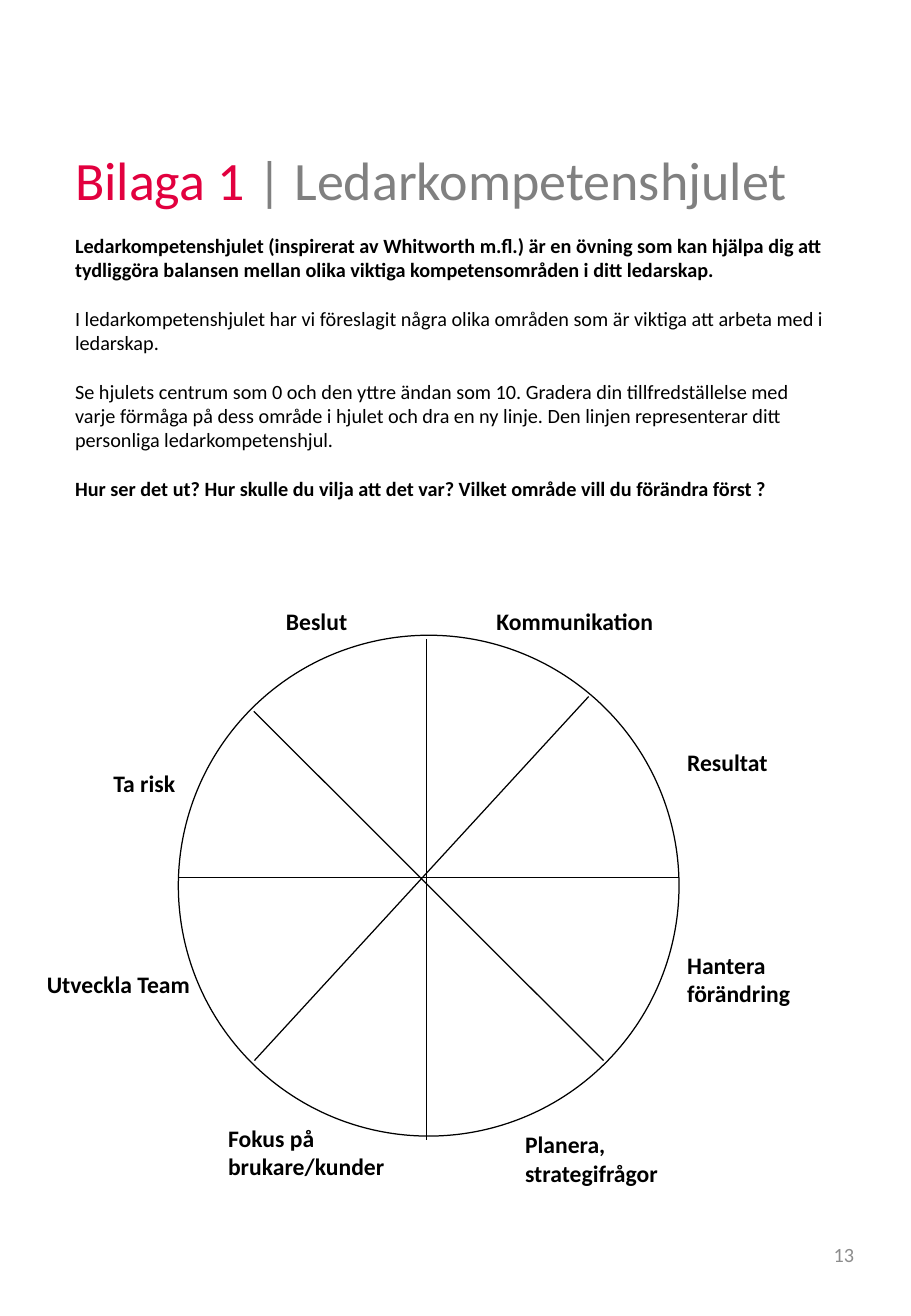
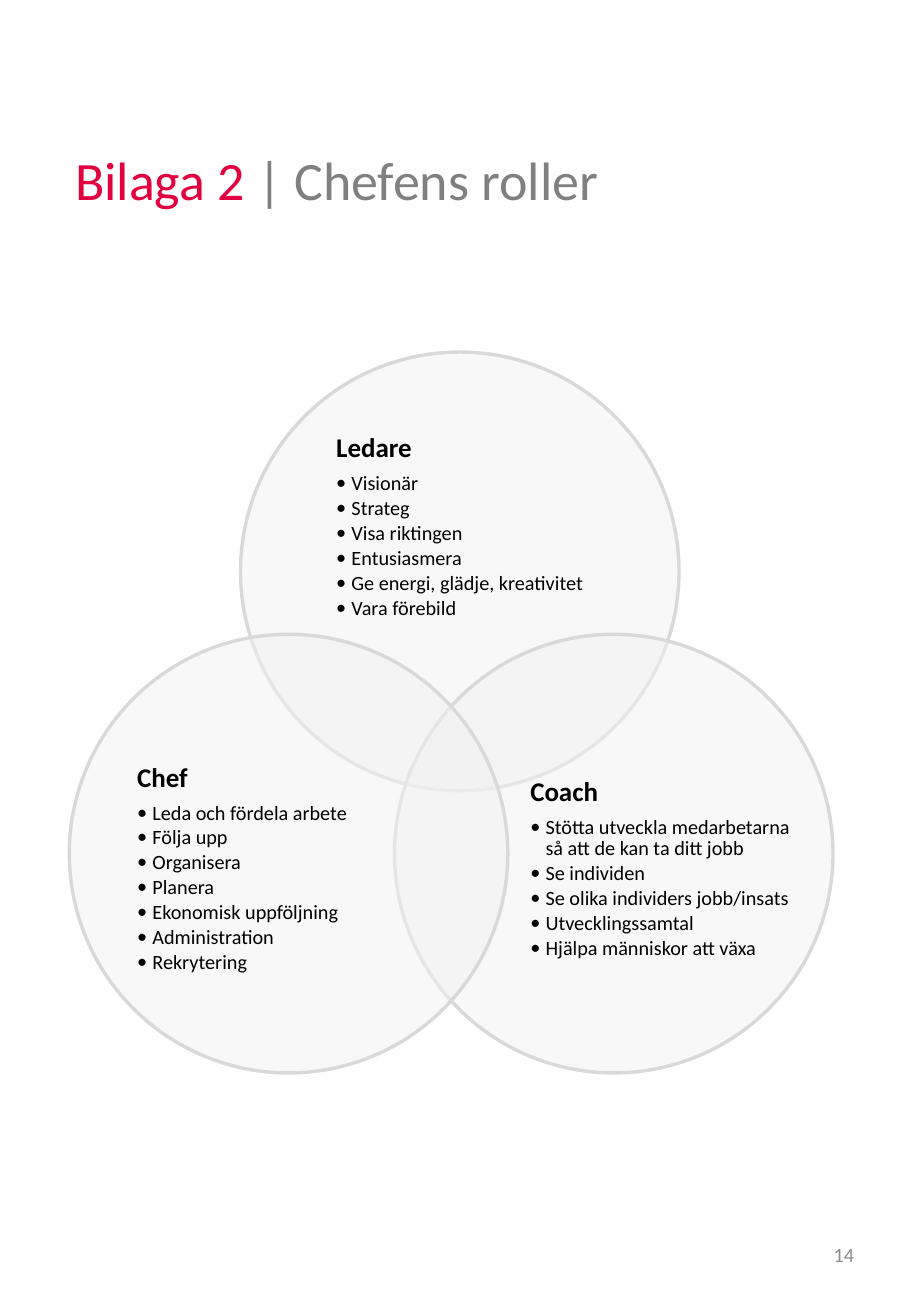
from pptx import Presentation
from pptx import util as u
from pptx.dml.color import RGBColor
from pptx.enum import shapes, text
from pptx.oxml.ns import qn
from lxml import etree

FONT = "Calibri"
RED, GREY, PALE = "E2003F", "808080", "8C8C8C"
BLACK, WHITE = "000000", "FFFFFF"
DISC, RIM = "F2F2F2", "D9D9D9"
MARGIN = 1.32

# Each intro paragraph: text, bold
INTRO = [
    ("Ledarkompetenshjulet (inspirerat av Whitworth m.fl.) är en övning som kan "
     "hjälpa dig att tydliggöra balansen mellan olika viktiga kompetensområden "
     "i ditt ledarskap.", True),
    ("I ledarkompetenshjulet har vi föreslagit några olika områden som är viktiga "
     "att arbeta med i ledarskap.", False),
    ("Se hjulets centrum som 0 och den yttre ändan som 10. Gradera din "
     "tillfredställelse med varje förmåga på dess område i hjulet och dra en ny "
     "linje. Den linjen representerar ditt personliga ledarkompetenshjul.", False),
    ("Hur ser det ut? Hur skulle du vilja att det var? Vilket område vill du "
     "förändra först ?", True),
]

WHEEL = (3.73, 13.28, 10.47)  # left, top, diameter
SPOKES = [  # from x, y to x, y
    (3.73, 18.35, 14.2, 18.35),
    (5.31, 14.87, 12.62, 22.17),
    (5.32, 22.17, 12.31, 14.56),
    (8.92, 13.36, 8.92, 23.83),
]
AREAS = [  # label, left, top, lines
    ("Hantera förändring", 14.12, 19.75, 2),
    ("Resultat", 14.12, 15.5, 1),
    ("Kommunikation", 10.13, 12.56, 1),
    ("Beslut", 5.73, 12.56, 1),
    ("Planera, strategifrågor", 10.73, 23.5, 2),
    ("Fokus på brukare/kunder", 4.52, 23.36, 2),
    ("Utveckla Team", 0.73, 20.16, 1),
    ("Ta risk", 2.12, 15.95, 1),
]

ROLE_SIZE = 9.17
ROLES = [  # name, circle left and top, text box, duties
    ("Ledare", (5.03, 7.36), (6.25, 8.96, 6.73, 4.11),
     ["Visionär", "Strateg", "Visa riktingen", "Entusiasmera",
      "Ge energi, glädje, kreativitet", "Vara förebild"]),
    ("Coach", (8.25, 13.26), (11.05, 15.64, 5.51, 5.05),
     ["Stötta utveckla medarbetarna så att de kan ta ditt jobb", "Se individen",
      "Se olika individers jobb/insats", "Utvecklingssamtal",
      "Hjälpa människor att växa"]),
    ("Chef", (1.45, 13.26), (2.31, 15.64, 5.51, 5.05),
     ["Leda och fördela arbete", "Följa upp", "Organisera", "Planera",
      "Ekonomisk uppföljning", "Administration", "Rekrytering"]),
]


def paint(part, code):
    """Give a fill, line or font the solid colour of a hex string."""
    if hasattr(part, "solid"):
        part.solid()
        part.fore_color.rgb = RGBColor.from_string(code)
    else:
        part.color.rgb = RGBColor.from_string(code)


def style(run, size, code=BLACK, bold=False):
    """Format one run."""
    run.font.name, run.font.size, run.font.bold = FONT, u.Pt(size), bold
    paint(run.font, code)


def add_box(slide, left, top, width, height, grow=True):
    """Add a wrapping text box and return its frame."""
    box = slide.shapes.add_textbox(*map(u.Cm, (left, top, width, height)))
    frame = box.text_frame
    frame.word_wrap = True
    if grow:
        frame.auto_size = text.MSO_AUTO_SIZE.SHAPE_TO_FIT_TEXT
    else:
        frame.vertical_anchor = text.MSO_ANCHOR.MIDDLE
    return frame


def add_paras(frame, lines):
    """Fill a frame with one paragraph a line and return the paragraphs."""
    frame.text = "\n".join(lines)
    return frame.paragraphs


def add_disc(slide, left, top, size, fill, rim, weight):
    """Add an outlined circle."""
    disc = slide.shapes.add_shape(
        shapes.MSO_SHAPE.OVAL, *map(u.Cm, (left, top, size, size)))
    disc.shadow.inherit = False
    paint(disc.fill, fill)
    paint(disc.line, rim)
    disc.line.width = u.Pt(weight)
    return disc


def fade(shape, percent):
    """Set the opacity of a shape's solid fill."""
    tone = shape.fill._xPr.find(qn("a:solidFill"))[0]
    etree.SubElement(tone, qn("a:alpha")).set("val", str(percent * 1000))


def add_spoke(slide, *ends):
    """Draw a thin black line."""
    spoke = slide.shapes.add_connector(
        shapes.MSO_CONNECTOR.STRAIGHT, *map(u.Cm, ends))
    paint(spoke.line, BLACK)
    spoke.line.width = u.Pt(0.75)
    etree.SubElement(spoke._element.spPr, qn("a:effectLst"))


def add_bullet(para):
    """Give a paragraph a bullet with a hanging indent."""
    props = para._p.get_or_add_pPr()
    props.set("marL", str(u.Cm(0.32)))
    props.set("indent", str(-u.Cm(0.32)))
    etree.SubElement(props, qn("a:buFont")).set("typeface", FONT)
    etree.SubElement(props, qn("a:buChar")).set("char", "•")


def add_page(deck, number, part, name):
    """Add a slide with its title and page number."""
    slide = deck.slides.add_slide(deck.slide_layouts[6])
    para = add_box(slide, MARGIN, 2.93, 15.8, 1.63).paragraphs[0]
    for words, code in ((part, RED), (" | " + name, GREY)):
        run = para.add_run()
        run.text = words
        style(run, 32, code)
    foot = add_box(slide, 13.66, 25.49, 4.45, 1.47, grow=False)
    para = add_paras(foot, [str(number)])[0]
    para.alignment = text.PP_ALIGN.RIGHT
    style(para.runs[0], 12, PALE)
    return slide


def add_wheel(slide):
    """Draw the wheel with its spokes and labels."""
    add_disc(slide, *WHEEL, WHITE, BLACK, 0.75)
    for ends in SPOKES:
        add_spoke(slide, *ends)
    for label, left, top, lines in AREAS:
        frame = add_box(slide, left, top, 3.99, 0.27 + 0.6 * lines)
        style(add_paras(frame, [label])[0].runs[0], 14, bold=True)


def add_intro(slide):
    """Write the instructions above the wheel."""
    frame = add_box(slide, MARGIN, 4.75, 16.2, 6.4)
    paras = add_paras(frame, [words for words, bold in INTRO])
    for para, (words, bold) in zip(paras, INTRO):
        para.space_after = u.Pt(14.4)
        style(para.runs[0], 12, bold=bold)


def add_role(slide, name, spot, area, duties):
    """Draw one role: a see-through circle, a heading and bullets."""
    fade(add_disc(slide, *spot, ROLE_SIZE, DISC, RIM, 2), 50)
    frame = add_box(slide, *area, grow=False)
    frame.margin_left = frame.margin_right = 0
    frame.margin_top = frame.margin_bottom = 0
    frame._txBody.bodyPr.set("anchorCtr", "1")
    head, *rest = add_paras(frame, [name] + duties)
    head.line_spacing, head.space_after = 0.9, u.Pt(5.6)
    style(head.runs[0], 16, bold=True)
    for para in rest:
        para.level = 1
        para.line_spacing, para.space_after = 0.9, u.Pt(1.8)
        add_bullet(para)
        style(para.runs[0], 12)


deck = Presentation()
deck.slide_width, deck.slide_height = u.Cm(19.05), u.Cm(27.51)

wheel = add_page(deck, 13, "Bilaga 1", "Ledarkompetenshjulet")
add_wheel(wheel)
add_intro(wheel)

roles = add_page(deck, 14, "Bilaga 2", "Chefens roller")
for role in ROLES:
    add_role(roles, *role)

deck.save("out.pptx")
